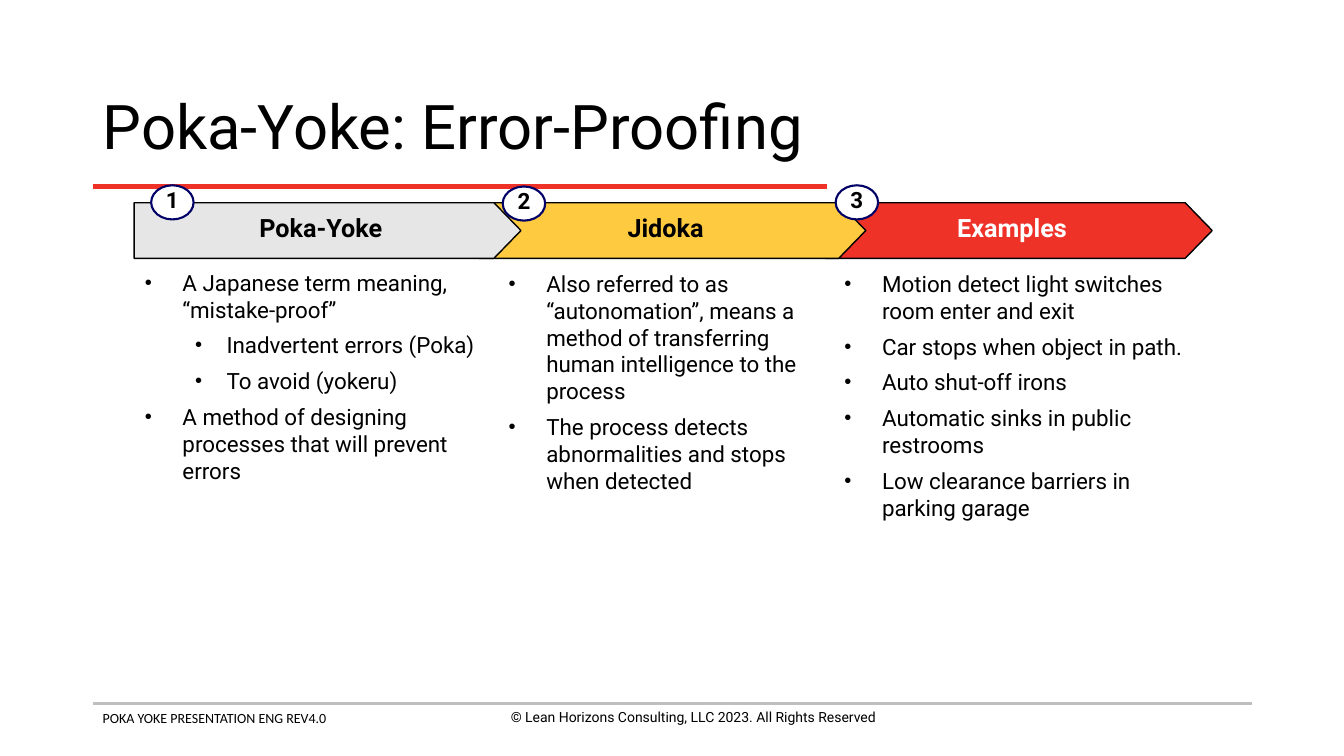
from dataclasses import dataclass

from lxml.etree import SubElement
from pptx import Presentation
from pptx.dml.color import RGBColor
from pptx.enum.shapes import MSO_CONNECTOR as Connector, MSO_SHAPE as Preset
from pptx.enum.text import MSO_ANCHOR as Anchor, PP_ALIGN as Align
from pptx.oxml.ns import qn
from pptx.util import Cm, Pt

BLACK, WHITE, RED, YELLOW = "000000", "FFFFFF", "EE3228", "FDCA40"
LIGHT_GREY, RULE_GREY, NAVY = "E7E6E6", "BFBFBF", "000066"
# Text indent and hanging bullet offset for each level
INDENTS = [(0.95, -0.95), (2.06, -0.79)]


@dataclass
class Step:
    heading: str
    fill: str
    heading_color: str
    plate_left: float
    badge_left: float
    badge_top: float
    points_box: tuple
    points: list


STEPS = [
    Step("Poka-Yoke", LIGHT_GREY, BLACK, 3.38, 3.81, 4.67, (3.4, 6.65, 9.02, 4.57), [
        (0, "A Japanese term meaning, “mistake-proof”"),
        (1, "Inadvertent errors (Poka)"),
        (1, "To avoid (yokeru)"),
        (0, "A method of designing processes that will prevent errors"),
    ]),
    Step("Jidoka", YELLOW, BLACK, 12.07, 12.67, 4.7, (12.57, 6.68, 8.38, 4.57), [
        (0, "Also referred to as “autonomation”, means a method of "
            "transferring human intelligence to the process"),
        (0, "The process detects abnormalities and stops when detected"),
    ]),
    Step("Examples", RED, WHITE, 20.8, 21.06, 4.67, (21.03, 6.68, 9.14, 4.57), [
        (0, "Motion detect light switches room enter and exit"),
        (0, "Car stops when object in path."),
        (0, "Auto shut-off irons"),
        (0, "Automatic sinks in public restrooms"),
        (0, "Low clearance barriers in parking garage"),
    ]),
]


def rgb(color):
    return RGBColor.from_string(color)


def add_run(paragraph, text, size, color=BLACK, bold=False, font="Roboto"):
    run = paragraph.add_run()
    run.text = text
    run.font.name = font
    run.font.size = Pt(size)
    run.font.bold = bold
    run.font.color.rgb = rgb(color)


def add_rule(slide, left, right, y, color, weight):
    rule = slide.shapes.add_connector(Connector.STRAIGHT, Cm(left), Cm(y), Cm(right), Cm(y))
    rule.line.color.rgb = rgb(color)
    rule.line.width = Pt(weight)
    SubElement(rule._element.spPr, qn("a:effectLst"))


def add_text_frame(slide, box):
    frame = slide.shapes.add_textbox(*map(Cm, box)).text_frame
    frame.word_wrap = True
    return frame


def add_line_of_text(slide, box, text, size, align=Align.LEFT, anchor=Anchor.TOP,
                     spacing=1.0, font="Roboto"):
    frame = add_text_frame(slide, box)
    frame.vertical_anchor = anchor
    paragraph = frame.paragraphs[0]
    paragraph.alignment = align
    paragraph.line_spacing = spacing
    add_run(paragraph, text, size, font=font)


def add_label_shape(slide, preset, box, label, size, fill, outline, weight, color=BLACK):
    """Add a filled, outlined shape with a bold centred label."""
    shape = slide.shapes.add_shape(preset, *map(Cm, box))
    shape.shadow.inherit = False
    shape.fill.solid()
    shape.fill.fore_color.rgb = rgb(fill)
    shape.line.color.rgb = rgb(outline)
    shape.line.width = Pt(weight)
    frame = shape.text_frame
    frame.word_wrap = False
    frame.vertical_anchor = Anchor.MIDDLE
    paragraph = frame.paragraphs[0]
    paragraph.alignment = Align.CENTER
    paragraph.line_spacing = 0.8
    add_run(paragraph, label, size, color, bold=True)
    return shape


def set_bullet(paragraph, level):
    margin, hanging = INDENTS[level]
    properties = paragraph._p.get_or_add_pPr()
    properties.set("marL", str(Cm(margin)))
    properties.set("indent", str(Cm(hanging)))
    bullet_color = SubElement(properties, qn("a:buClr"))
    SubElement(bullet_color, qn("a:srgbClr"), val=BLACK)
    SubElement(properties, qn("a:buSzPct"), val="90000")
    SubElement(properties, qn("a:buFont"), typeface="Arial")
    SubElement(properties, qn("a:buChar"), char="•")
    paragraph.level = level


def add_points(slide, box, points):
    frame = add_text_frame(slide, box)
    for index, (level, text) in enumerate(points):
        paragraph = frame.add_paragraph() if index else frame.paragraphs[0]
        set_bullet(paragraph, level)
        paragraph.space_after = Pt(6.4)
        add_run(paragraph, text, 16)


def add_heading_plate(slide, step):
    plate = add_label_shape(slide, Preset.PENTAGON, (step.plate_left, 5.11, 9.75, 1.4),
                            step.heading, 18, step.fill, BLACK, 1, step.heading_color)
    plate.adjustments[0] = 0.486


def add_badge(slide, step, number):
    add_label_shape(slide, Preset.OVAL, (step.badge_left, step.badge_top, 1.07, 0.86),
                    str(number), 16, WHITE, NAVY, 1.5)


def main():
    deck = Presentation()
    deck.slide_width, deck.slide_height = Cm(33.87), Cm(19.05)
    slide = deck.slides.add_slide(deck.slide_layouts[6])

    add_rule(slide, 2.34, 31.55, 17.73, RULE_GREY, 2)
    add_line_of_text(slide, (2.34, 17.75, 11.58, 1.12),
                     "POKA YOKE PRESENTATION ENG REV4.0", 10, font="Calibri")
    add_line_of_text(slide, (11.68, 17.73, 11.58, 1.12),
                     "© Lean Horizons Consulting, LLC 2023. All Rights Reserved", 10,
                     align=Align.CENTER)
    add_rule(slide, 2.34, 20.83, 4.7, RED, 3)
    add_line_of_text(slide, (2.34, 1.88, 29.21, 2.79), "Poka-Yoke: Error-Proofing", 44,
                     anchor=Anchor.MIDDLE, spacing=0.9)

    # Each plate's tip overlaps the next plate, so the last goes at the back
    for step in reversed(STEPS):
        add_heading_plate(slide, step)
    for number, step in enumerate(STEPS, start=1):
        add_points(slide, step.points_box, step.points)
        add_badge(slide, step, number)

    deck.save("out.pptx")


if __name__ == "__main__":
    main()
